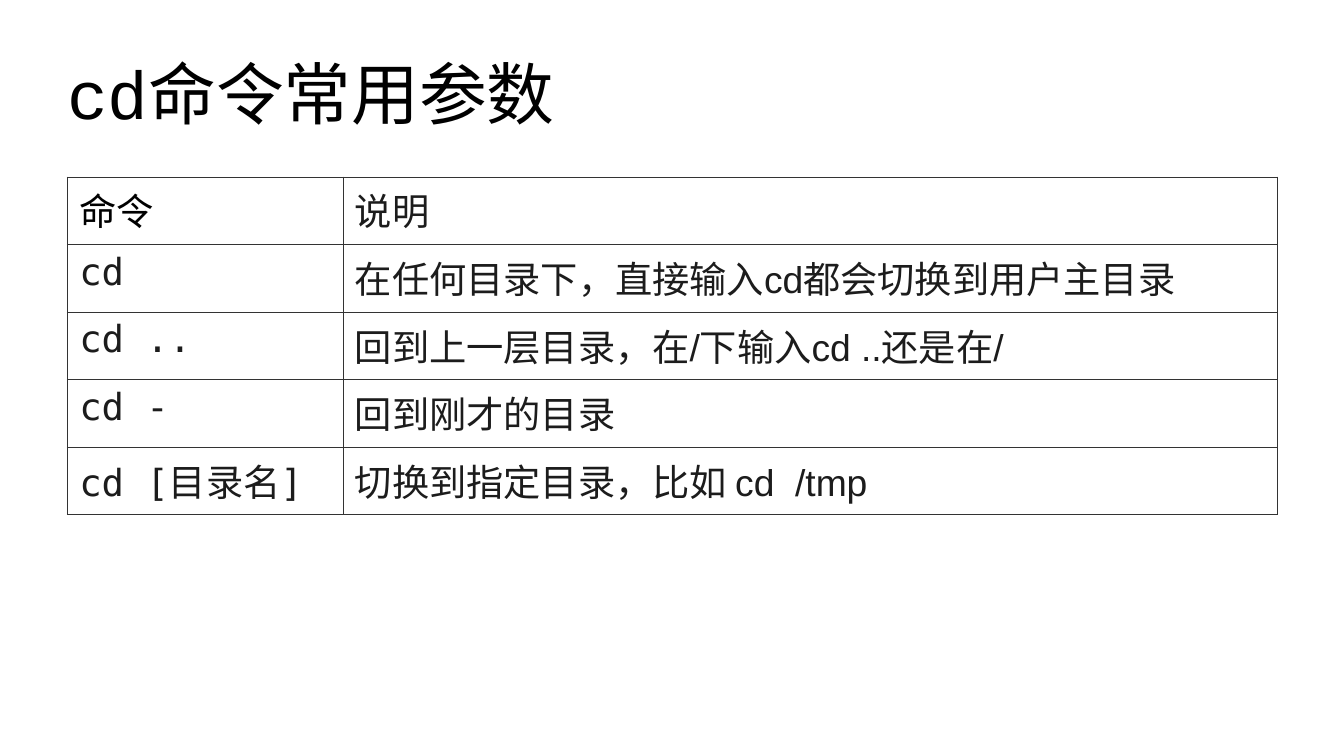
"""Build a slide with a table of common cd command parameters."""
from typing import NamedTuple

from lxml.etree import SubElement
from pptx import Presentation
from pptx.dml.color import RGBColor
from pptx.enum.text import MSO_ANCHOR
from pptx.oxml.ns import qn
from pptx.util import Inches, Pt

COLORS = {"title": "000000", "text": "1C1C1C", "border": "333333", "cell": "FFFFFF"}
BORDER_WIDTH = Pt(0.06)
LEFT, WIDTH = Inches(0.55), Inches(9.92)
COLUMN_WIDTHS = (Inches(2.26), Inches(7.66))
TABLE_TOP, TABLE_HEIGHT = Inches(1.45), Inches(2.77)


class TextStyle(NamedTuple):
    font: str
    size: int
    color: str


class CommandRow(NamedTuple):
    command: str
    description: str


TITLE = TextStyle("Courier New", 40, "title")
HEADER = TextStyle("Arial", 22, "title")
BODY = TextStyle("Arial", 22, "text")
CODE = TextStyle("DejaVu Sans Mono", 22, "text")

ROWS = (
    CommandRow("命令", "说明"),
    CommandRow("cd", "在任何目录下，直接输入cd都会切换到用户主目录"),
    CommandRow("cd ..", "回到上一层目录，在/下输入cd ..还是在/"),
    CommandRow("cd -", "回到刚才的目录"),
    CommandRow("cd [目录名]", "切换到指定目录，比如 cd  /tmp"),
)


def write_text(text_frame, text: str, style: TextStyle) -> None:
    text_frame.text = text
    for run in text_frame.paragraphs[0].runs:
        run.font.name = style.font
        run.font.size = Pt(style.size)
        run.font.color.rgb = RGBColor.from_string(COLORS[style.color])


def add_borders(cell) -> None:
    properties = cell._tc.get_or_add_tcPr()
    for side in ("a:lnL", "a:lnR", "a:lnT", "a:lnB"):
        line = SubElement(properties, qn(side), w=str(int(BORDER_WIDTH)))
        fill = SubElement(line, qn("a:solidFill"))
        SubElement(fill, qn("a:srgbClr"), val=COLORS["border"])


def add_title(slide, text: str) -> None:
    text_frame = slide.shapes.add_textbox(LEFT, Inches(0.25), WIDTH, Inches(1.01)).text_frame
    text_frame.word_wrap = True
    text_frame.vertical_anchor = MSO_ANCHOR.MIDDLE
    text_frame.margin_left = text_frame.margin_right = Inches(0)
    text_frame.margin_top = text_frame.margin_bottom = Inches(0)
    write_text(text_frame, text, TITLE)


def add_command_table(slide, rows: tuple[CommandRow, ...]) -> None:
    table = slide.shapes.add_table(
        len(rows), len(COLUMN_WIDTHS), LEFT, TABLE_TOP, WIDTH, TABLE_HEIGHT
    ).table
    table.first_row = table.horz_banding = False
    for column, width in zip(table.columns, COLUMN_WIDTHS):
        column.width = width
    for row_index, row in enumerate(rows):
        command_style = CODE if row_index else HEADER
        for column_index, (text, style) in enumerate(zip(row, (command_style, BODY))):
            cell = table.cell(row_index, column_index)
            write_text(cell.text_frame, text, style)
            add_borders(cell)
            cell.fill.solid()
            cell.fill.fore_color.rgb = RGBColor.from_string(COLORS["cell"])


def main() -> None:
    presentation = Presentation()
    presentation.slide_width, presentation.slide_height = Inches(11.02), Inches(6.2)
    slide = presentation.slides.add_slide(presentation.slide_layouts[6])
    add_title(slide, "cd命令常用参数")
    add_command_table(slide, ROWS)
    presentation.save("out.pptx")


main()
